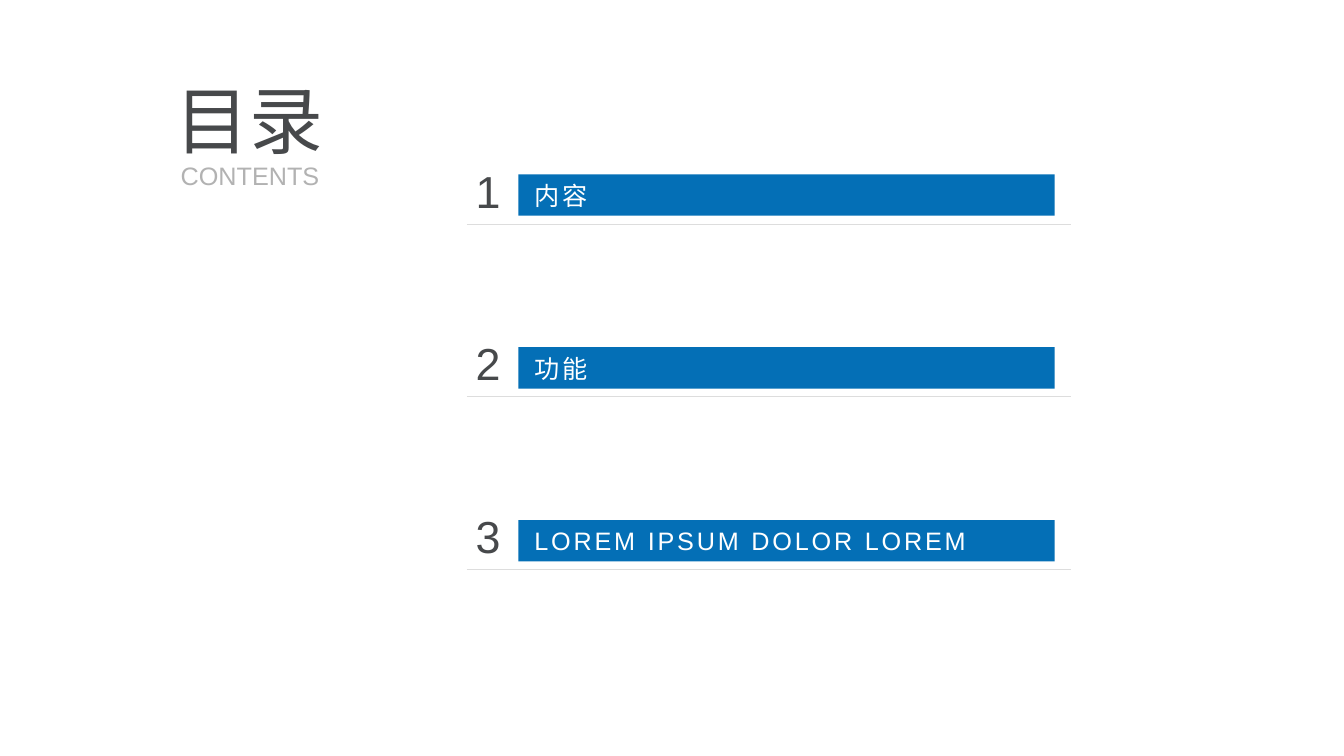
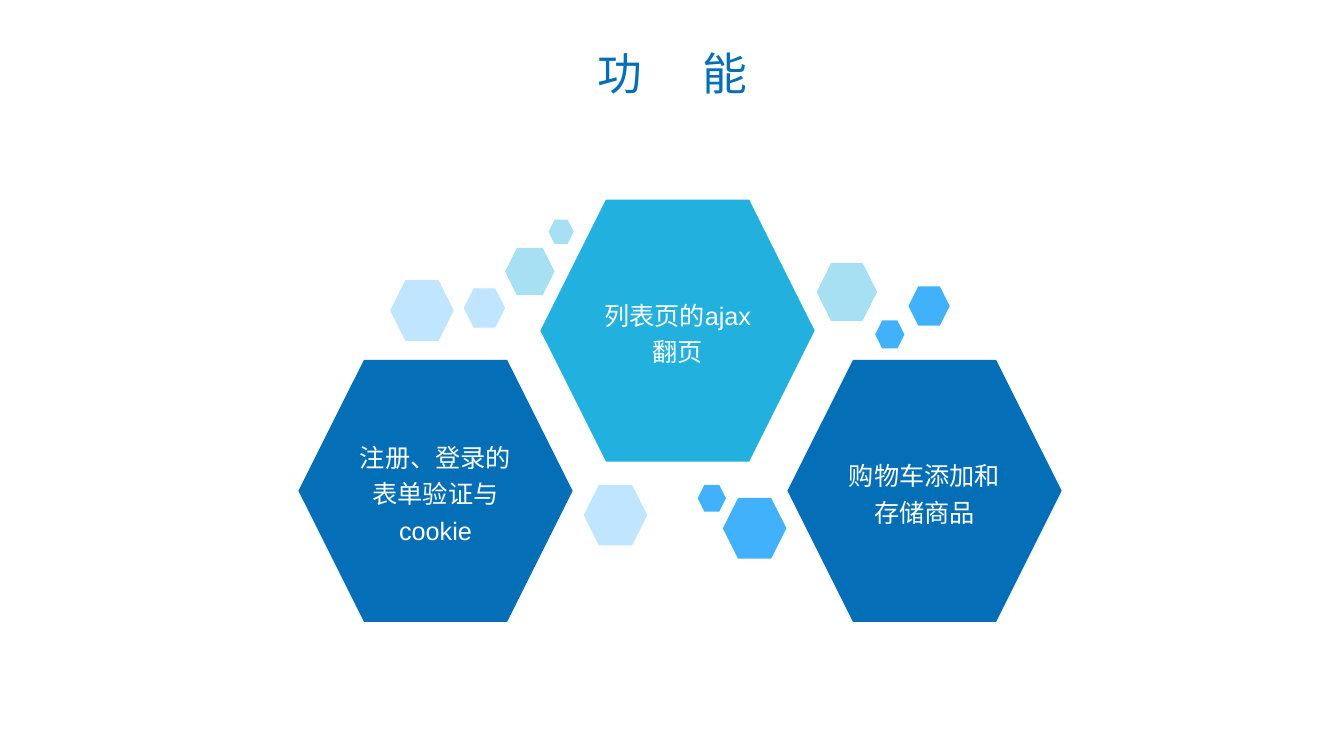
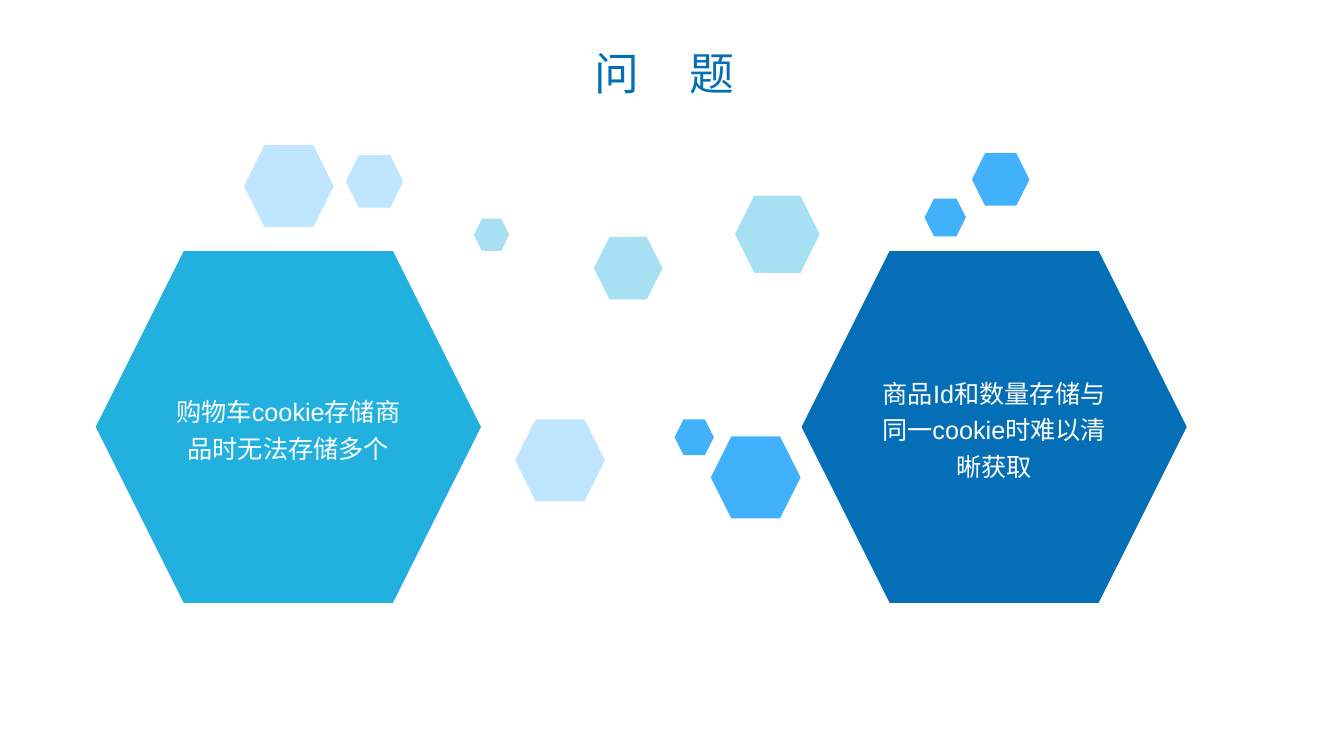
from dataclasses import dataclass
from pptx import Presentation
from pptx.dml.color import RGBColor
from pptx.enum.shapes import MSO_CONNECTOR, MSO_SHAPE
from pptx.enum.text import MSO_ANCHOR, PP_ALIGN
from pptx.oxml.ns import qn
from pptx.shapes.autoshape import Shape
from pptx.slide import Slide
from pptx.util import Inches, Pt

FONT = "Arial"
HUES = {
    "blue": "046FB6",
    "cyan": "22B1DE",
    "sky": "41B1FB",
    "pale": "C0E5FE",
    "aqua": "A7E0F2",
    "dark": "47494B",
    "gray": "B2B2B2",
    "rule": "DDDDDD",
    "white": "FFFFFF",
}


@dataclass
class Box:
    left: float
    top: float
    width: float
    height: float


@dataclass
class Style:
    size: float
    hue: str
    align: PP_ALIGN = PP_ALIGN.CENTER
    lead: float = 1.0
    space: float = 0


@dataclass
class Hex:
    left: float
    top: float
    width: float
    hue: str
    text: str = ""


@dataclass
class Page:
    title: tuple[str, str]
    width: float
    space: float
    ratio: float
    cells: list[Hex]


TITLE = Style(32, "blue", lead=0.9)
LABEL = Style(18, "white", lead=1.2)
ENTRY = Style(18, "white", PP_ALIGN.LEFT, space=2)
COUNT = Style(32, "dark", lead=0.9)
HEAD = Style(52.7, "dark")
SUB = Style(18, "gray")

ITEMS = ["内容", "功能", "LOREM IPSUM DOLOR LOREM"]
STEP = 1.715

PAGES = [
    Page(("功", "能"), 11.98, 18, 2.6 / 2.72, [
        Hex(2.96, 3.57, 2.72, "blue", "注册、登录的表单验证与cookie"),
        Hex(5.36, 1.98, 2.72, "cyan", "列表页的ajax翻页"),
        Hex(7.81, 3.57, 2.72, "blue", "购物车添加和存储商品"),
        Hex(3.87, 2.78, 0.63, "pale"),
        Hex(5.79, 4.81, 0.63, "pale"),
        Hex(7.17, 4.94, 0.63, "sky"),
        Hex(9.01, 2.84, 0.41, "sky"),
        Hex(8.1, 2.61, 0.6, "aqua"),
        Hex(5.44, 2.18, 0.25, "aqua"),
        Hex(6.92, 4.81, 0.28, "sky"),
        Hex(8.68, 3.18, 0.29, "sky"),
        Hex(5.01, 2.46, 0.49, "aqua"),
        Hex(4.6, 2.86, 0.41, "pale"),
    ]),
    Page(("问", "题"), 11.82, 14.5, 3.49 / 3.82, [
        Hex(0.95, 2.49, 3.82, "cyan", "购物车cookie存储商品时无法存储多个"),
        Hex(7.95, 2.49, 3.82, "blue", "商品Id和数量存储与同一cookie时难以清晰获取"),
        Hex(2.42, 1.44, 0.89, "pale"),
        Hex(5.11, 4.16, 0.89, "pale"),
        Hex(7.05, 4.33, 0.89, "sky"),
        Hex(9.64, 1.52, 0.57, "sky"),
        Hex(7.29, 1.94, 0.84, "aqua"),
        Hex(4.7, 2.17, 0.35, "aqua"),
        Hex(6.69, 4.16, 0.39, "sky"),
        Hex(9.17, 1.97, 0.41, "sky"),
        Hex(5.89, 2.35, 0.68, "aqua"),
        Hex(3.43, 1.54, 0.57, "pale"),
    ]),
]


def tint(name: str) -> RGBColor:
    return RGBColor.from_string(HUES[name])


def place(box: Box) -> list[Inches]:
    return [Inches(n) for n in (box.left, box.top, box.width, box.height)]


def format_text(shape: Shape, style: Style) -> None:
    frame = shape.text_frame
    frame.word_wrap = True
    frame.vertical_anchor = MSO_ANCHOR.MIDDLE
    for para in frame.paragraphs:
        para.alignment = style.align
        para.line_spacing = style.lead
        for run in para.runs:
            run.font.name = FONT
            run.font.size = Pt(style.size)
            run.font.color.rgb = tint(style.hue)
            if style.space:
                run.font._element.set("spc", str(round(style.space * 100)))


def set_inset(shape: Shape, left: float = 0) -> None:
    frame = shape.text_frame
    frame.margin_left = Inches(left)
    frame.margin_top = frame.margin_right = frame.margin_bottom = Inches(0)


def add_text(slide: Slide, box: Box, text: str, style: Style) -> Shape:
    shape = slide.shapes.add_textbox(*place(box))
    shape.text_frame.text = text
    format_text(shape, style)
    return shape


def add_block(slide: Slide, kind: MSO_SHAPE, box: Box, hue: str,
              text: str, style: Style) -> Shape:
    shape = slide.shapes.add_shape(kind, *place(box))
    shape.shadow.inherit = False
    shape.fill.solid()
    shape.fill.fore_color.rgb = tint(hue)
    shape.line.fill.background()
    if text:
        shape.text_frame.text = text
        format_text(shape, style)
    return shape


def add_rule(slide: Slide, left: float, right: float, top: float) -> None:
    line = slide.shapes.add_connector(
        MSO_CONNECTOR.STRAIGHT,
        Inches(left), Inches(top), Inches(right), Inches(top))
    line.line.color.rgb = tint("rule")
    line.line.width = Pt(0.25)
    props = line._element.spPr
    props.append(props.makeelement(qn("a:effectLst"), {}))


def add_title(slide: Slide, page: Page) -> None:
    first, last = page.title
    box = Box(0.68, 0.32, page.width, 0.87)
    shape = add_text(slide, box, f"{first} ", TITLE)
    para = shape.text_frame.paragraphs[0]
    para.add_run().text = last
    format_text(shape, TITLE)
    para.runs[0].font._element.set("spc", str(round(page.space * 100)))


def draw_index(slide: Slide) -> None:
    for row, item in enumerate(ITEMS):
        top = 1.62 + row * STEP
        count = add_text(slide, Box(4.58, top, 0.52, 0.6), str(row + 1), COUNT)
        set_inset(count)
        bar = add_block(slide, MSO_SHAPE.RECTANGLE,
                        Box(5.14, top + 0.11, 5.32, 0.41), "blue", item, ENTRY)
        set_inset(bar, 0.16)
        add_rule(slide, 4.63, 10.62, top + 0.6)
    set_inset(add_text(slide, Box(1.4, 0.8, 2.15, 0.77), "目录", HEAD))
    set_inset(add_text(slide, Box(1.41, 1.56, 2.14, 0.36), "CONTENTS", SUB))


def draw_page(slide: Slide, page: Page) -> None:
    for cell in page.cells:
        box = Box(cell.left, cell.top, cell.width, cell.width * page.ratio)
        add_block(slide, MSO_SHAPE.HEXAGON, box, cell.hue, cell.text, LABEL)
    add_title(slide, page)


def main() -> None:
    deck = Presentation()
    deck.slide_width = Inches(13.33)
    deck.slide_height = Inches(7.5)
    blank = deck.slide_layouts[6]
    draw_index(deck.slides.add_slide(blank))
    for page in PAGES:
        draw_page(deck.slides.add_slide(blank), page)
    deck.save("out.pptx")


if __name__ == "__main__":
    main()
